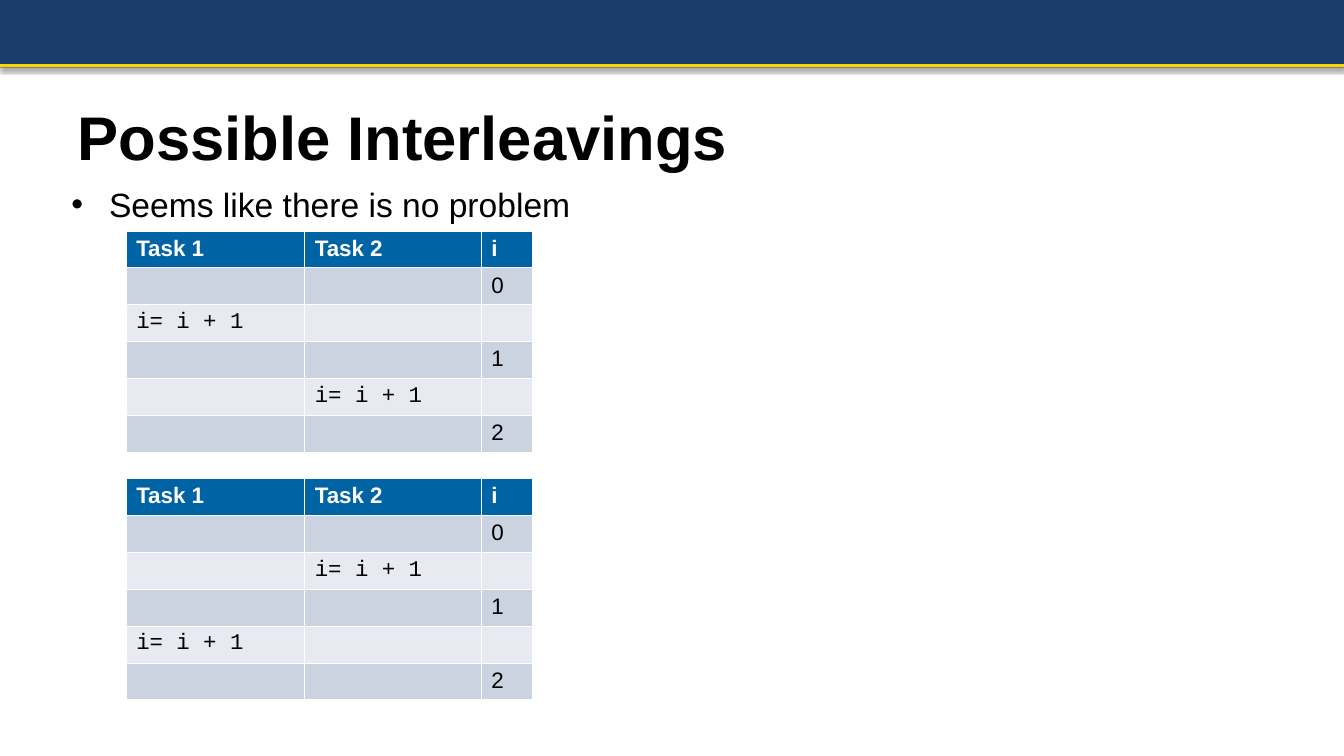
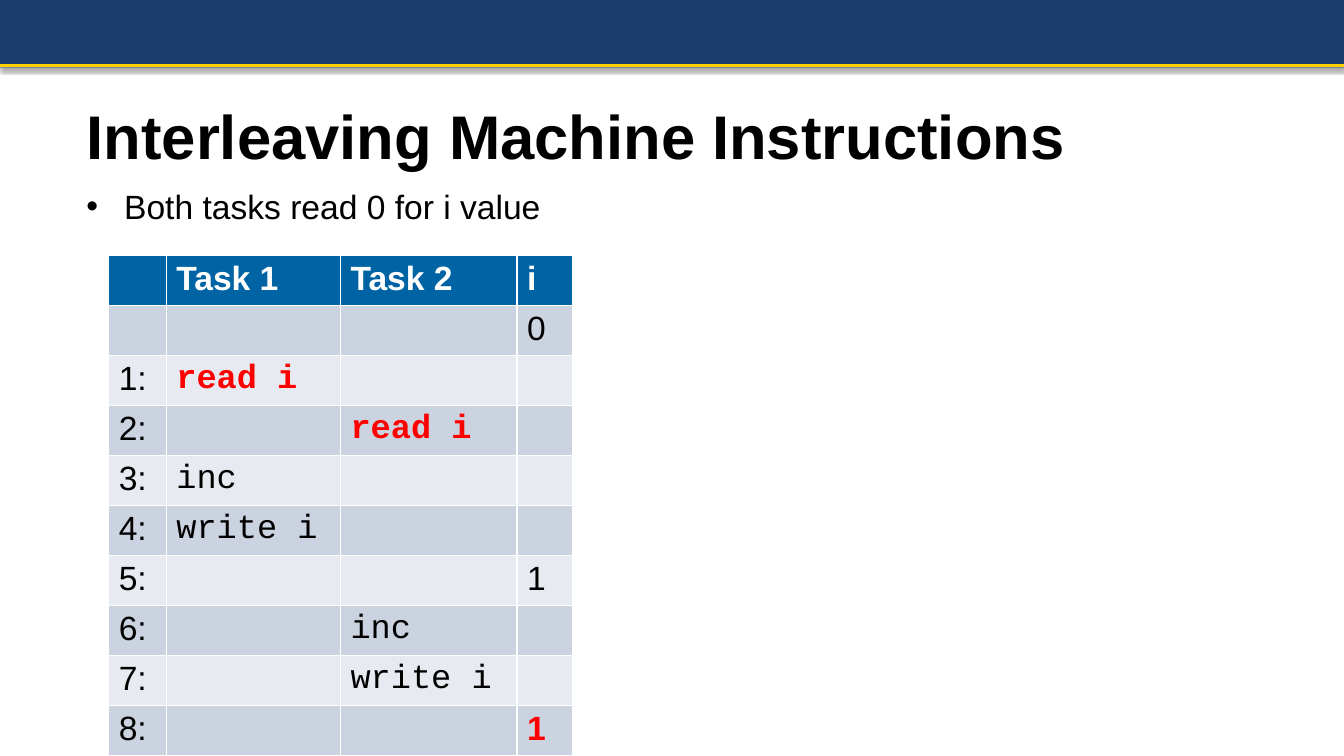
"""Builds two slides on how the steps of concurrent tasks interleave."""
from dataclasses import dataclass

from lxml import etree
from pptx import Presentation
from pptx.dml.color import RGBColor
from pptx.enum.shapes import MSO_CONNECTOR, MSO_SHAPE
from pptx.enum.text import MSO_ANCHOR, MSO_AUTO_SIZE, PP_ALIGN
from pptx.oxml.ns import qn
from pptx.util import Cm, Pt

RECTANGLE = MSO_SHAPE.RECTANGLE
STRAIGHT = MSO_CONNECTOR.STRAIGHT
MIDDLE = MSO_ANCHOR.MIDDLE
NO_FIT = MSO_AUTO_SIZE.NONE
LEFT = PP_ALIGN.LEFT


@dataclass(frozen=True)
class Theme:
    navy: RGBColor = RGBColor.from_string("1B3D6D")
    gold: RGBColor = RGBColor.from_string("FFD200")
    black: RGBColor = RGBColor.from_string("000000")
    white: RGBColor = RGBColor.from_string("FFFFFF")
    red: RGBColor = RGBColor.from_string("FF0000")
    header: RGBColor = RGBColor.from_string("0064A4")
    odd_row: RGBColor = RGBColor.from_string("CCD3E0")
    even_row: RGBColor = RGBColor.from_string("E7EAF0")
    text_font: str = "Arial"
    code_font: str = "Courier New"
    title_size: int = 44
    body_size: int = 24
    small_size: int = 16


THEME = Theme()
SLIDE_WIDTH, SLIDE_HEIGHT = Cm(33.87), Cm(19.05)
TASK_HEADER = ("Task 1", "Task 2", "i")
TASK_COLUMNS = (4.5, 4.45, 1.3)
INCREMENT = "i= i + 1"

SLIDES = [
    {
        "title": "Possible Interleavings",
        "title_box": (1.7, 2.36, 17.07, 2.13),
        "bullet": "Seems like there is no problem",
        "bullet_box": (1.55, 4.5, 14.02, 1.27),
        "table_left": 3.18,
        "columns": TASK_COLUMNS,
        "row_height": 0.93,
        "size": THEME.small_size,
        "highlights": (),
        "tables": [
            (5.82, [
                TASK_HEADER,
                ("", "", "0"),
                (INCREMENT, "", ""),
                ("", "", "1"),
                ("", INCREMENT, ""),
                ("", "", "2"),
            ]),
            (12.06, [
                TASK_HEADER,
                ("", "", "0"),
                ("", INCREMENT, ""),
                ("", "", "1"),
                (INCREMENT, "", ""),
                ("", "", "2"),
            ]),
        ],
    },
    {
        "title": "Interleaving Machine Instructions",
        "title_box": (1.93, 2.34, 25.43, 2.13),
        "bullet": "Both tasks read 0 for i value",
        "bullet_box": (1.93, 4.55, 17.35, 1.27),
        "table_left": 2.74,
        "columns": (1.45, 4.39, 4.45, 1.4),
        "row_height": 1.26,
        "size": THEME.body_size,
        "highlights": ((2, 1), (3, 2), (9, 3)),
        "tables": [
            (6.43, [
                ("", *TASK_HEADER),
                ("", "", "", "0"),
                ("1:", "read i", "", ""),
                ("2:", "", "read i", ""),
                ("3:", "inc", "", ""),
                ("4:", "write i", "", ""),
                ("5:", "", "", "1"),
                ("6:", "", "inc", ""),
                ("7:", "", "write i", ""),
                ("8:", "", "", "1"),
            ]),
        ],
    },
]


def set_font(paragraph, size, color=THEME.black, bold=False, name=THEME.text_font):
    font = paragraph.font
    font.size, font.bold, font.name = Pt(size), bold, name
    font.color.rgb = color


def add_step_table(slide, content, top, rows):
    columns, row_height = content["columns"], content["row_height"]
    table = slide.shapes.add_table(
        len(rows), len(columns), Cm(content["table_left"]), Cm(top),
        Cm(sum(columns)), Cm(row_height * len(rows)),
    ).table
    for column, width in zip(table.columns, columns):
        column.width = Cm(width)
    for row_index, row in enumerate(rows):
        table.rows[row_index].height = Cm(row_height)
        for column_index, text in enumerate(row):
            is_header = row_index == 0
            is_highlight = (row_index, column_index) in content["highlights"]
            is_code = not is_header and rows[0][column_index].startswith("Task")
            cell = table.cell(row_index, column_index)
            cell.text = text
            cell.margin_bottom = 0
            cell.fill.solid()
            band_color = THEME.odd_row if row_index % 2 else THEME.even_row
            cell.fill.fore_color.rgb = THEME.header if is_header else band_color
            text_color = THEME.red if is_highlight else THEME.black
            set_font(
                cell.text_frame.paragraphs[0], content["size"],
                THEME.white if is_header else text_color,
                is_header or is_highlight,
                THEME.code_font if is_code else THEME.text_font,
            )


presentation = Presentation()
presentation.slide_width, presentation.slide_height = SLIDE_WIDTH, SLIDE_HEIGHT
layout = presentation.slide_layouts[5]

for content in SLIDES:
    slide = presentation.slides.add_slide(layout)

    title = slide.shapes.title
    title.left, title.top, title.width, title.height = map(Cm, content["title_box"])
    title.text_frame.text = content["title"]
    title.text_frame.word_wrap = False
    title.text_frame.auto_size = NO_FIT
    title.text_frame.vertical_anchor = MIDDLE
    paragraph = title.text_frame.paragraphs[0]
    paragraph.alignment = LEFT
    set_font(paragraph, THEME.title_size, bold=True)

    bullet_box = slide.shapes.add_textbox(*map(Cm, content["bullet_box"]))
    bullet_box.text_frame.word_wrap = True
    paragraph = bullet_box.text_frame.paragraphs[0]
    paragraph.text = content["bullet"]
    properties = paragraph._p.get_or_add_pPr()
    properties.set("marL", str(Cm(0.95)))
    properties.set("indent", str(-Cm(0.95)))
    etree.SubElement(properties, qn("a:buFont"), typeface=THEME.text_font)
    etree.SubElement(properties, qn("a:buChar"), char="•")
    set_font(paragraph, THEME.body_size)

    for top, rows in content["tables"]:
        add_step_table(slide, content, top, rows)

band = slide.shapes.add_shape(RECTANGLE, 0, 0, SLIDE_WIDTH, Cm(1.7))
band.fill.solid()
band.fill.fore_color.rgb = THEME.navy
band.line.fill.background()
band.shadow.inherit = False
shadow = etree.SubElement(
    band.element.spPr.find(qn("a:effectLst")), qn("a:outerShdw"),
    blurRad=str(Pt(3.1)), dist=str(Pt(1.8)), dir="5400000", rotWithShape="0",
)
shadow_color = etree.SubElement(shadow, qn("a:srgbClr"), val=str(THEME.black))
etree.SubElement(shadow_color, qn("a:alpha"), val="35000")

rule = slide.shapes.add_connector(STRAIGHT, 0, Cm(1.65), SLIDE_WIDTH, Cm(1.65))
rule.line.color.rgb = THEME.gold
rule.line.width = Pt(2.25)
etree.SubElement(rule.element.spPr, qn("a:effectLst"))

for offset, shape in enumerate((band, rule)):
    shape.element.xpath(".//p:cNvPr")[0].set("id", str(101 + offset))
    layout.shapes.element.insert(2 + offset, shape.element)

presentation.save("out.pptx")
